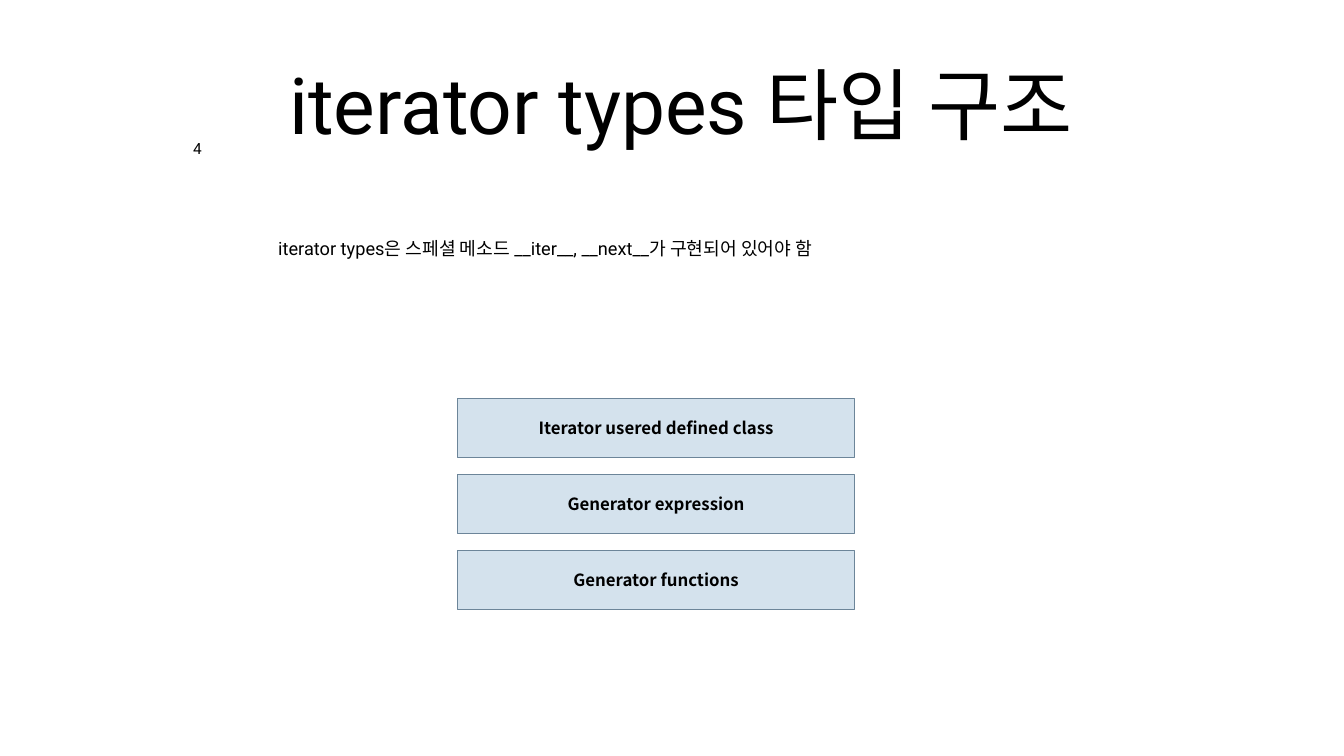
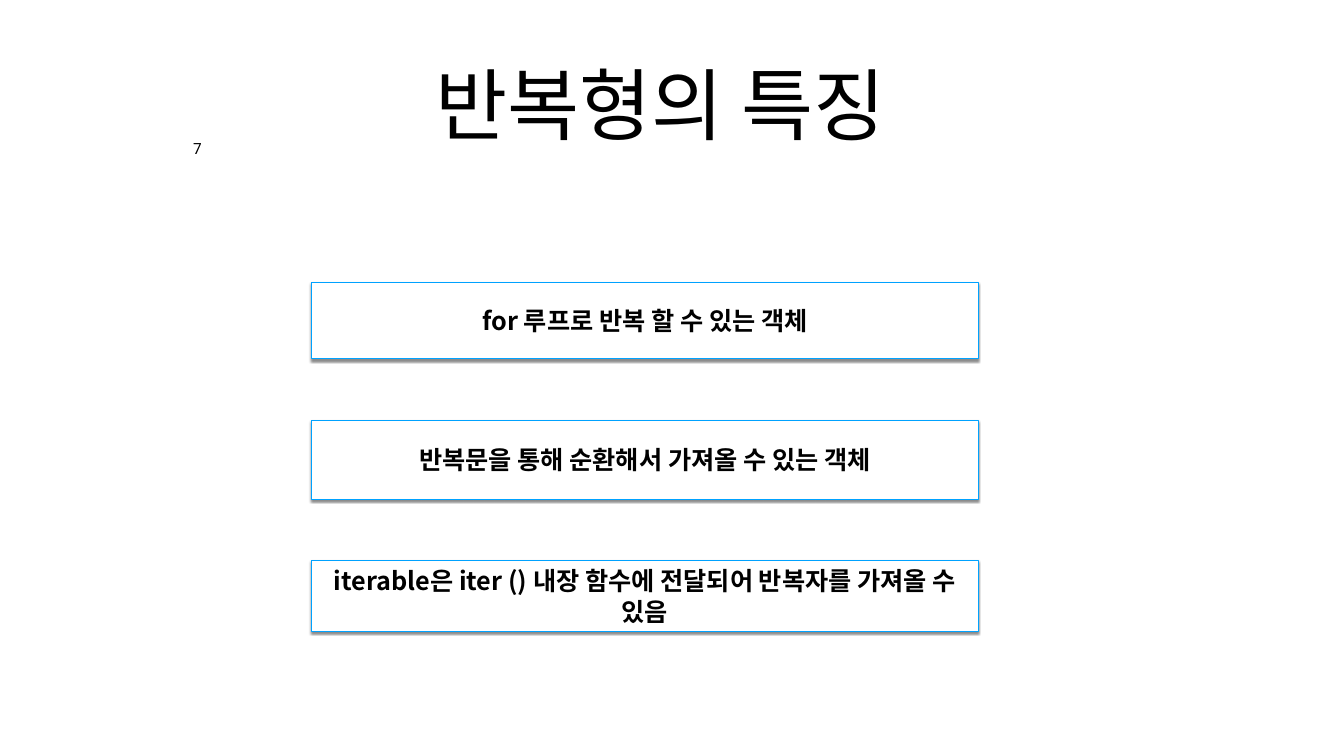
from lxml import etree
from pptx import Presentation
from pptx.dml.color import RGBColor
from pptx.enum.shapes import MSO_SHAPE
from pptx.enum.text import MSO_ANCHOR, MSO_AUTO_SIZE, PP_ALIGN
from pptx.oxml.ns import qn
from pptx.util import Cm, Pt

RECTANGLE = MSO_SHAPE.RECTANGLE
TOP, MIDDLE = MSO_ANCHOR.TOP, MSO_ANCHOR.MIDDLE
NO_AUTOFIT = MSO_AUTO_SIZE.NONE
LEFT, CENTER = PP_ALIGN.LEFT, PP_ALIGN.CENTER

LATIN, KOREAN = "Roboto", "Noto Sans CJK KR"
BLACK, WHITE = "000000", "FFFFFF"
PALE_BLUE, SLATE, BRIGHT_BLUE = "D4E2ED", "6C8599", "00A2FF"

TITLE_ONLY, TITLE_AND_CONTENT = 5, 1
TITLE_BOX = (12.19, 0.99, 43.36, 8.43)
DESCRIPTION_BOX = (11.07, 8.76, 45.72, 7.47)
NUMBER_BOX = (9.53, 6.99, 0.84, 1.14)
DESCRIPTION_INDENT = 2.75

TITLE = {"size": Pt(112), "name": LATIN, "bold": False}
DESCRIPTION = {"size": Pt(26), "name": LATIN, "bold": False}
NUMBER = {"size": Pt(22), "name": LATIN, "bold": False}
TYPE_LABEL = {"size": Pt(24), "name": KOREAN, "bold": True}
TRAIT_LABEL = {"size": Pt(36), "name": KOREAN, "bold": True}


def rgb(value):
    return RGBColor.from_string(value)


def place(shape, box):
    for side, length in zip(("left", "top", "width", "height"), box):
        setattr(shape, side, Cm(length))


def write(shape, text, style, align=CENTER, anchor=MIDDLE, inset=0.2, wrap=True):
    """Put one formatted paragraph into the shape and return it."""
    frame = shape.text_frame
    frame.auto_size = NO_AUTOFIT
    frame.word_wrap = wrap
    frame.vertical_anchor = anchor
    for side in ("left", "top", "right", "bottom"):
        setattr(frame, f"margin_{side}", Cm(inset))
    frame.text = text
    paragraph = frame.paragraphs[0]
    paragraph.alignment = align
    paragraph.space_before = Pt(0)
    font = paragraph.runs[0].font
    for name, value in style.items():
        setattr(font, name, value)
    font.color.rgb = rgb(BLACK)
    etree.SubElement(font._element, qn("a:ea"), typeface=KOREAN)
    return paragraph


def add_page(deck, layout, title, number, shift):
    """Add a slide with title and number; shift moves the title off centre."""
    slide = deck.slides.add_slide(deck.slide_layouts[layout])
    heading = slide.shapes.title
    place(heading, TITLE_BOX)
    write(heading, title, TITLE)
    heading.text_frame.margin_left = Cm(0.2 + max(0, 2 * shift))
    heading.text_frame.margin_right = Cm(0.2 + max(0, -2 * shift))
    page_number = slide.shapes.add_textbox(*map(Cm, NUMBER_BOX))
    write(page_number, number, NUMBER, anchor=TOP, wrap=False).line_spacing = 0.8
    return slide


def add_description(slide, text):
    body = slide.placeholders[1]
    place(body, DESCRIPTION_BOX)
    paragraph = write(body, text, DESCRIPTION, align=LEFT)
    paragraph.level = 1
    properties = paragraph._p.get_or_add_pPr()
    properties.set("marL", str(Cm(DESCRIPTION_INDENT)))
    properties.set("indent", "0")
    etree.SubElement(properties, qn("a:buNone"))


def add_drop_shadow(shape):
    effects = shape._element.spPr.find(qn("a:effectLst"))
    shadow = etree.SubElement(
        effects, qn("a:outerShdw"), blurRad=str(Pt(3)), dist=str(Pt(2.4)),
        dir="5400000", rotWithShape="0")
    color = etree.SubElement(shadow, qn("a:srgbClr"), val=BLACK)
    etree.SubElement(color, qn("a:alpha"), val="45000")


def add_stack(slide, left, top, width, gap, rows, style, fill, line, raised=False):
    """Stack labelled boxes downwards; rows holds (label, height) pairs."""
    for label, height in rows:
        box = slide.shapes.add_shape(
            RECTANGLE, Cm(left), Cm(top), Cm(width), Cm(height))
        box.shadow.inherit = False
        box.fill.solid()
        box.fill.fore_color.rgb = rgb(fill)
        box.line.color.rgb = rgb(line)
        box.line.width = Pt(1.5)
        if raised:
            add_drop_shadow(box)
        write(box, label, style, inset=0.25)
        top += height + gap


def add_type_structure(deck):
    slide = add_page(deck, TITLE_AND_CONTENT, "iterator types 타입 구조", "4", 0.45)
    add_description(
        slide,
        "iterator types은 스페셜 메소드 __iter__, __next__가 구현되어 있어야 함")
    types = ("Iterator usered defined class", "Generator expression",
             "Generator functions")
    add_stack(slide, 23.06, 20.07, 20, 0.83, [(name, 3) for name in types],
              TYPE_LABEL, PALE_BLUE, SLATE)


def add_iterable_traits(deck):
    slide = add_page(deck, TITLE_ONLY, "반복형의 특징", "7", -0.6)
    traits = [
        ("for 루프로 반복 할 수 있는 객체", 3.84),
        ("반복문을 통해 순환해서 가져올 수 있는 객체", 3.99),
        ("iterable은 iter () 내장 함수에 전달되어 반복자를 가져올 수 있음", 3.58),
    ]
    add_stack(slide, 15.7, 14.25, 33.6, 3.08, traits,
              TRAIT_LABEL, WHITE, BRIGHT_BLUE, raised=True)


def main():
    deck = Presentation()
    deck.slide_width, deck.slide_height = Cm(67.73), Cm(38.1)
    add_type_structure(deck)
    add_iterable_traits(deck)
    deck.save("out.pptx")


if __name__ == "__main__":
    main()
